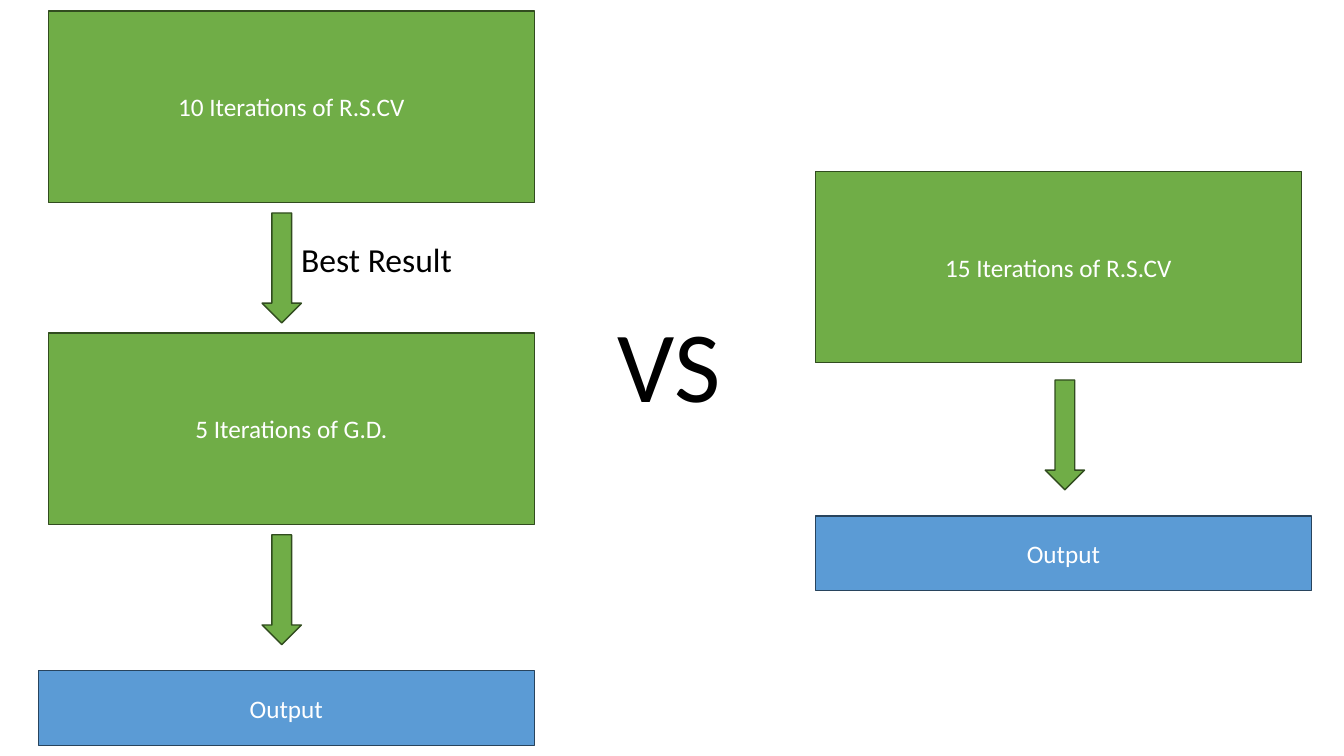
from pptx import Presentation
from pptx.dml.color import RGBColor
from pptx.enum import shapes, text
from pptx.util import Pt

GREEN = RGBColor(0x70, 0xAD, 0x47)
MOSS = RGBColor(0x31, 0x4C, 0x1F)
BLUE = RGBColor(0x5B, 0x9B, 0xD5)
NAVY = RGBColor(0x28, 0x44, 0x5D)
WHITE = RGBColor(255, 255, 255)
BLACK = RGBColor(0, 0, 0)
FONT = "Calibri"

# Lengths in points
STEP = (347, 136.8)
ARROW = (28.1, 78.5)
OUTPUT = (354.2, 53.3)

# Each flow: step left, arrow left, output left, gap above arrow, [(step, top)]
FLOWS = [
    (34.6, 187.2, 27.4, 7.4, [("10 Iterations of R.S.CV", 7.9),
                              ("5 Iterations of G.D.", 239.8 - 2)]),
    (582.5, 746.6, 582.5, 12.2, [("15 Iterations of R.S.CV", 122.4)]),
]
DROP = 18.6  # from the last arrow to the output
LABELS = [
    ("VS", 72, 434.2, 211.7, 182.2, 94.3),
    ("Best Result", 24, 208.1, 167, 182.2, 36.3),
]


def style(frame, size, color):
    for run in frame.paragraphs[0].runs:
        run.font.name = FONT
        run.font.size = Pt(size)
        run.font.color.rgb = color


def block(kind, left, top, size, fill, edge, words=""):
    shape = slide.shapes.add_shape(kind, Pt(left), Pt(top), *map(Pt, size))
    shape.shadow.inherit = False
    shape.fill.solid()
    shape.fill.fore_color.rgb = fill
    shape.line.color.rgb = edge
    shape.line.width = Pt(1)
    if words:
        frame = shape.text_frame
        frame.text = words
        frame.vertical_anchor = text.MSO_ANCHOR.MIDDLE
        frame.paragraphs[0].alignment = text.PP_ALIGN.CENTER
        style(frame, 18, WHITE)


deck = Presentation()
deck.slide_width, deck.slide_height = Pt(960), Pt(540)
slide = deck.slides.add_slide(deck.slide_layouts[6])

RECT = shapes.MSO_SHAPE.RECTANGLE
DOWN = shapes.MSO_SHAPE.DOWN_ARROW
for left, mid, base, gap, steps in FLOWS:
    for words, top in steps:
        block(RECT, left, top, STEP, GREEN, MOSS, words)
        start = top + STEP[1] + gap
        block(DOWN, mid, start, ARROW, GREEN, MOSS)
    block(RECT, base, start + ARROW[1] + DROP, OUTPUT, BLUE, NAVY, "Output")

for words, size, left, top, width, height in LABELS:
    box = slide.shapes.add_textbox(Pt(left), Pt(top), Pt(width), Pt(height))
    frame = box.text_frame
    frame.word_wrap = True
    frame.auto_size = text.MSO_AUTO_SIZE.SHAPE_TO_FIT_TEXT
    frame.text = words
    style(frame, size, BLACK)

deck.save("out.pptx")
